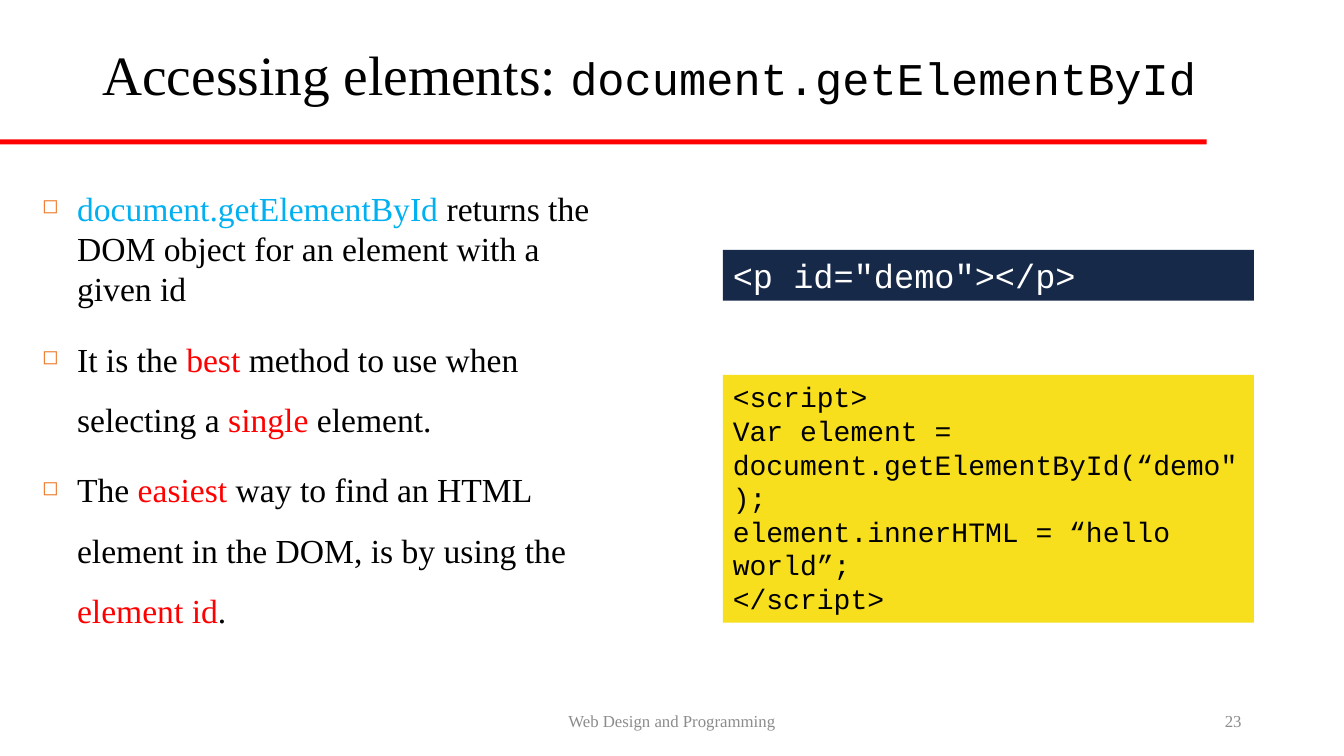
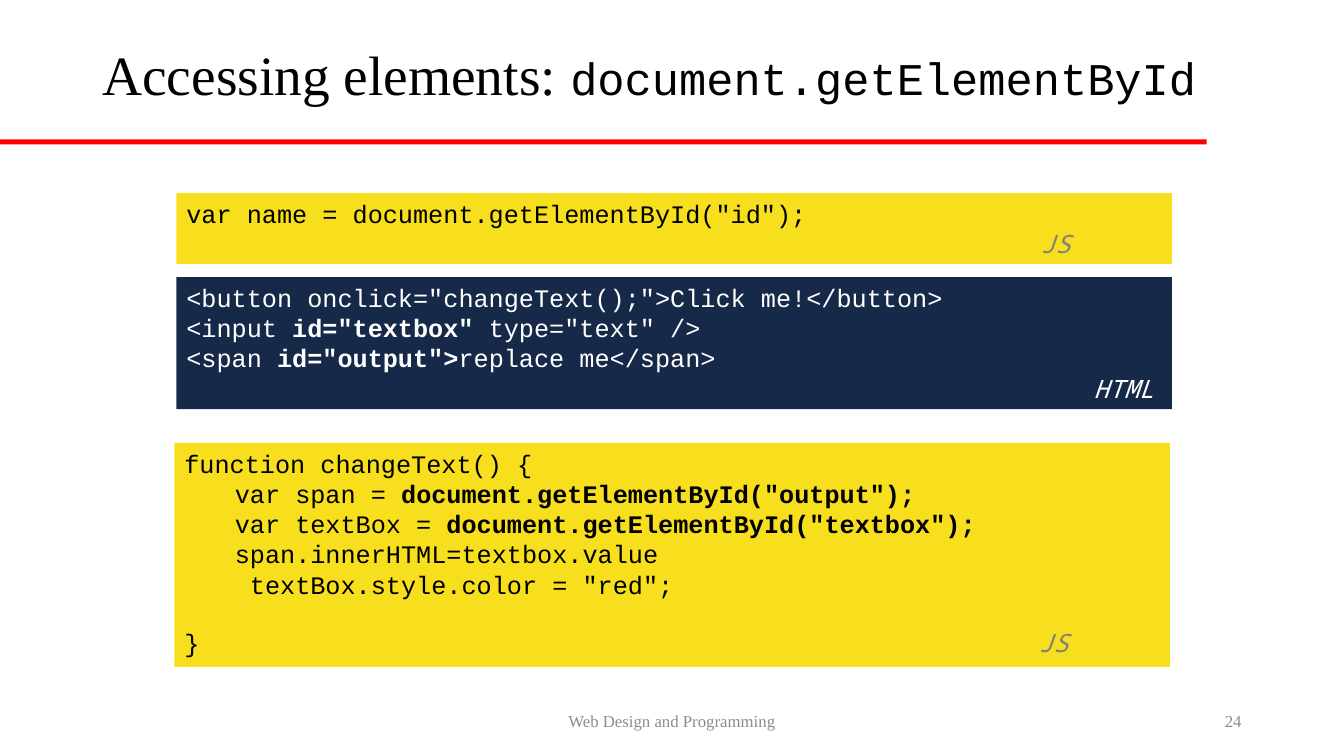
from lxml import etree
from pptx import Presentation
from pptx.dml.color import RGBColor
from pptx.enum.shapes import MSO_SHAPE
from pptx.enum.text import MSO_ANCHOR, PP_ALIGN
from pptx.oxml.ns import qn
from pptx.util import Pt

RECT = MSO_SHAPE.RECTANGLE
TOP, MIDDLE = MSO_ANCHOR.TOP, MSO_ANCHOR.MIDDLE
LEFT, CENTER, RIGHT = PP_ALIGN.LEFT, PP_ALIGN.CENTER, PP_ALIGN.RIGHT

BLACK = RGBColor(0x00, 0x00, 0x00)
WHITE = RGBColor(0xFF, 0xFF, 0xFF)
RED = RGBColor(0xFF, 0x00, 0x00)
BLUE = RGBColor(0x00, 0xB0, 0xF0)
NAVY = RGBColor(0x17, 0x29, 0x49)
YELLOW = RGBColor(0xF7, 0xDF, 0x1D)
ORANGE = RGBColor(0xED, 0x7D, 0x31)
GRAY = RGBColor(0x80, 0x80, 0x80)
PALE = RGBColor(0x8C, 0x8C, 0x8C)

SERIF = "Times New Roman"
CODE = "Courier New"
MONO = "Noto Sans Mono"

BOLD = {"bold": True}
HOT = {"color": RED}
JS = ("\tJS", {"font": MONO, "color": GRAY, "italic": True})
HTML = ("\tHTML", {"font": MONO, "italic": True})


def write(para, text, font=SERIF, size=24, color=BLACK, bold=False, italic=False):
    run = para.add_run()
    run.text = text
    face = run.font
    face.name = font
    face.size = Pt(size)
    face.color.rgb = color
    face.bold = bold
    face.italic = italic


def fill(frame, lines, anchor=TOP, align=LEFT, **style):
    frame.word_wrap = True
    frame.vertical_anchor = anchor
    for i, line in enumerate(lines):
        para = frame.paragraphs[0] if i == 0 else frame.add_paragraph()
        para.alignment = align
        for part in line:
            text, own = (part, {}) if isinstance(part, str) else part
            write(para, text, **{**style, **own})
    return frame.paragraphs


def add_text(slide, box, lines, **style):
    shape = slide.shapes.add_textbox(*map(Pt, box))
    return fill(shape.text_frame, lines, **style)


def add_rect(slide, box, color):
    shape = slide.shapes.add_shape(RECT, *map(Pt, box))
    shape.shadow.inherit = False
    shape.fill.solid()
    shape.fill.fore_color.rgb = color
    shape.line.fill.background()
    return shape


def add_code(slide, box, lines, back=YELLOW, color=BLACK, size=18):
    frame = add_rect(slide, box, back).text_frame
    return fill(frame, lines, font=CODE, color=color, size=size)


def set_tab(para, pos):
    tabs = etree.SubElement(para._p.get_or_add_pPr(), qn("a:tabLst"))
    etree.SubElement(tabs, qn("a:tab"), pos=str(Pt(pos)), algn="l")


def set_bullet(para):
    props = para._p.get_or_add_pPr()
    props.set("marL", str(Pt(25)))
    props.set("indent", str(-Pt(25)))
    tint = etree.SubElement(props, qn("a:buClr"))
    etree.SubElement(tint, qn("a:srgbClr"), val=str(ORANGE))
    etree.SubElement(props, qn("a:buSzPct"), val="60000")
    etree.SubElement(props, qn("a:buChar"), char="◻")


def add_page(deck, number):
    slide = deck.slides.add_slide(deck.slide_layouts[6])
    add_rect(slide, (0, 99.6, 862, 3.6), RED)
    title = ["Accessing elements: ",
             ("document.getElementById", {"font": CODE, "size": 32.4})]
    head = add_text(slide, (66, 17, 828, 77), [title], anchor=MIDDLE, size=39.6)
    head[0].line_spacing = 0.9
    foot = {"anchor": MIDDLE, "size": 12, "color": PALE}
    add_text(slide, (318, 500.5, 324, 29), [["Web Design and Programming"]],
             align=CENTER, **foot)
    add_text(slide, (678, 500.5, 216, 29), [[str(number)]], align=RIGHT, **foot)
    return slide


def add_intro(deck):
    slide = add_page(deck, 23)
    points = [
        [("document.getElementById ", {"color": BLUE}),
         "returns the DOM object for an element with a given id"],
        ["It is the ", ("best ", HOT), "method to use when selecting a ",
         ("single ", HOT), "element."],
        ["The ", ("easiest ", HOT),
         "way to find an HTML element in the DOM, is by using the ",
         ("element id", HOT), "."],
    ]
    paras = add_text(slide, (23, 130.5, 425, 370), points)
    for para in paras:
        set_bullet(para)
    for para in paras[1:]:
        para.line_spacing = 1.5
        para.space_before = Pt(7)
    add_code(slide, (516.4, 178.5, 379.4, 36.3), [['<p id="demo"></p>']],
             back=NAVY, color=WHITE, size=24)
    add_code(slide, (516.4, 267.8, 379.4, 177), [
        ["<script>"],
        ['Var element = document.getElementById(“demo");'],
        ["element.innerHTML = “hello world”;"],
        ["</script>"],
    ], size=20)


def add_sample(deck):
    slide = add_page(deck, 24)
    call = add_code(slide, (126, 138, 711, 50.5), [
        ['var name = document.getElementById("id");'],
        [JS],
    ])
    page = add_code(slide, (126, 198, 711, 94.3), [
        ['<button onclick="changeText();">Click me!</button>'],
        ["<input ", ('id="textbox" ', BOLD), 'type="text" />'],
        ["<span ", ('id="output">', BOLD), "replace me</span>"],
        [HTML],
    ], back=NAVY, color=WHITE)
    body = add_code(slide, (124.6, 316.4, 711, 160), [
        ["function changeText() {"],
        ["\tvar span = ", ('document.getElementById("output");', BOLD)],
        ["\tvar textBox = ", ('document.getElementById("textbox");', BOLD)],
        ["\tspan.innerHTML=textbox.value"],
        ['\t textBox.style.color = "red";'],
        ["}", JS],
    ])
    body[-1].space_before = Pt(20)
    for paras, pos in ((call, 610), (page, 648), (body, 610)):
        set_tab(paras[-1], pos)


def main():
    deck = Presentation()
    deck.slide_width = Pt(960)
    deck.slide_height = Pt(540)
    add_intro(deck)
    add_sample(deck)
    deck.save("out.pptx")


if __name__ == "__main__":
    main()
